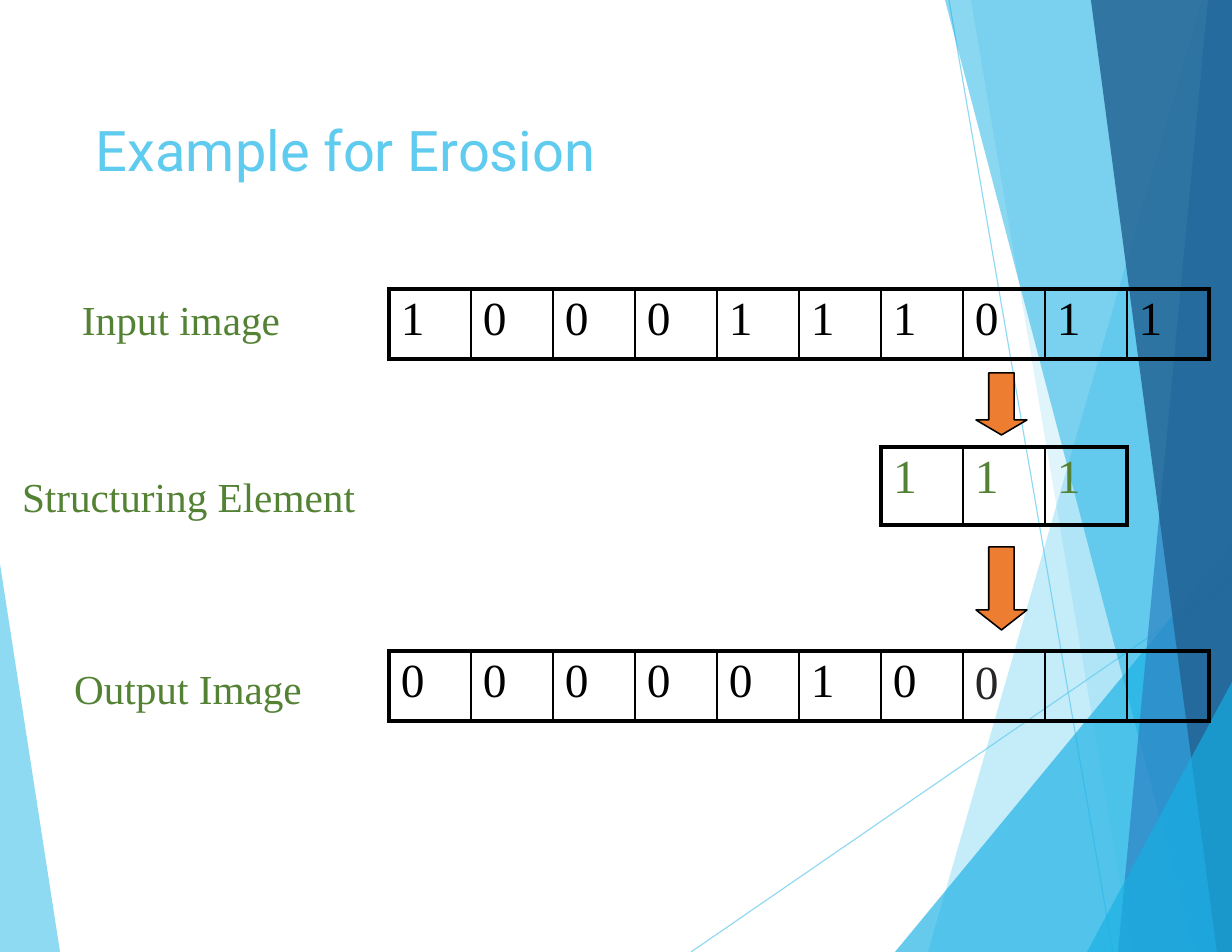
from lxml.etree import SubElement
from pptx import Presentation
from pptx.dml.color import RGBColor
from pptx.enum.shapes import MSO_CONNECTOR as Connector, MSO_SHAPE as Shape
from pptx.oxml.ns import qn
from pptx.util import Pt

WIDTH, HEIGHT = 1232, 952
COLORS = {
    "sky": "5FCBEF", "cyan": "17B0E4", "blue": "2E83C3", "navy": "226292",
    "green": "548235", "orange": "ED7D31", "black": "000000", "charcoal": "262626",
}


def px(length):
    return round(length * 914400 / 112)


def rgb(name):
    return RGBColor.from_string(COLORS[name])


class SlideBuilder:
    """Draws styled elements on one slide, with lengths in px."""

    serif, sans = "Times New Roman", "Roboto"

    def __init__(self, slide):
        self.slide = slide
        self.shapes = slide.shapes

    def fade(self, fill, opacity):
        color = fill._xPr.find(qn("a:solidFill"))[0]
        SubElement(color, qn("a:alpha"), val=str(opacity * 1000))

    def style(self, paragraph, font_name, size, color):
        font = paragraph.font
        font.name, font.size = font_name, Pt(size)
        font.color.rgb = rgb(color)

    def facet(self, points, color, opacity):
        start, *rest = points
        builder = self.shapes.build_freeform(*start, scale=px(1))
        builder.add_line_segments(rest, close=True)
        facet = builder.convert_to_shape()
        facet.shadow.inherit = False
        facet.fill.solid()
        facet.fill.fore_color.rgb = rgb(color)
        self.fade(facet.fill, opacity)
        facet.line.fill.background()

    def ray(self, x1, y1, x2, y2):
        ray = self.shapes.add_connector(Connector.STRAIGHT, px(x1), px(y1), px(x2), px(y2))
        ray.line.width = Pt(0.75)
        ray.line.color.rgb = rgb("sky")
        self.fade(ray.line.fill, 70)
        SubElement(ray._element.spPr, qn("a:effectLst"))

    def text(self, left, top, width, height, lines, font_name, size, color):
        frame = self.shapes.add_textbox(px(left), px(top), px(width), px(height)).text_frame
        frame.word_wrap = True
        frame.margin_left = frame.margin_top = frame.margin_right = frame.margin_bottom = 0
        for index, (line, indent, space_before) in enumerate(lines):
            paragraph = frame.add_paragraph() if index else frame.paragraphs[0]
            paragraph.text = line
            paragraph._p.get_or_add_pPr().set("marL", str(px(indent)))
            if space_before:
                paragraph.space_before = Pt(space_before)
            self.style(paragraph, font_name, size, color)

    def border(self, cell, side, points):
        edge = SubElement(cell._tc.get_or_add_tcPr(), qn(f"a:ln{side}"), w=str(Pt(points)))
        fill = SubElement(edge, qn("a:solidFill"))
        SubElement(fill, qn("a:srgbClr"), val=COLORS["black"])

    def pixels(self, left, top, height, values, color, last_color=None):
        pitch, count = 82, len(values)
        table = self.shapes.add_table(
            1, count, px(left), px(top), px(pitch * count), px(height)).table
        table.first_row = table.horz_banding = False
        table.rows[0].height = px(height)
        last_value = len(values.rstrip()) - 1
        for index, value in enumerate(values):
            table.columns[index].width = px(pitch)
            cell = table.cell(0, index)
            marked = last_color and index == last_value
            cell.margin_left, cell.margin_top = px(12), px(6 if marked else 4)
            cell.margin_right = cell.margin_bottom = 0
            self.border(cell, "L", 1.5 if index else 3)
            self.border(cell, "R", 1.5 if index < count - 1 else 3)
            self.border(cell, "T", 3)
            self.border(cell, "B", 3)
            cell.fill.background()
            paragraph = cell.text_frame.paragraphs[0]
            paragraph.text = value.strip()
            self.style(paragraph, self.serif, 30.5, last_color if marked else color)

    def arrow(self, left, top, width, height, head):
        arrow = self.shapes.add_shape(
            Shape.DOWN_ARROW, px(left), px(top), px(width), px(height))
        arrow.adjustments[0] = 0.5
        arrow.adjustments[1] = head / width
        arrow.shadow.inherit = False
        arrow.fill.solid()
        arrow.fill.fore_color.rgb = rgb("orange")
        arrow.line.color.rgb = rgb("black")
        arrow.line.width = Pt(1)


def main():
    deck = Presentation()
    deck.slide_width, deck.slide_height = px(WIDTH), px(HEIGHT)
    erosion = SlideBuilder(deck.slides.add_slide(deck.slide_layouts[6]))

    erosion.facet([(0, 564), (60, HEIGHT), (0, HEIGHT)], "sky", 70)
    erosion.ray(691, HEIGHT, WIDTH, 580)
    erosion.ray(949, 0, 1113, HEIGHT)
    right_facets = [
        (1202, 0, 928, "sky", 36),
        (971, 0, 1132, "sky", 20),
        (WIDTH, 544, 895, "cyan", 66),
        (945, 0, 1195, "cyan", 50),
        (1208, 0, 1118, "blue", 70),
        (1091, 0, 1217, "navy", 82),
        (WIDTH, 682, 1087, "cyan", 66),
    ]
    for top_x, top_y, bottom_x, color, opacity in right_facets:
        corners = [(top_x, top_y), (bottom_x, HEIGHT), (WIDTH, HEIGHT)]
        if top_x < WIDTH:
            corners.append((WIDTH, top_y))
        erosion.facet(corners, color, opacity)

    erosion.text(95, 116, 661, 70, [("Example for Erosion", 1, 0)], erosion.sans, 36, "sky")
    labels = [("Input image", 61, 0), ("Structuring Element", 1, 82)]
    erosion.text(21, 294, 340, 222, labels, erosion.serif, 26.5, "green")
    erosion.text(73, 663, 240, 52, [("Output Image", 1, 0)], erosion.serif, 26.5, "green")

    erosion.pixels(389, 289, 70, "1000111011", "black")
    erosion.pixels(881, 447, 78, "111", "green")
    erosion.arrow(976, 547, 51, 83, 20)
    erosion.arrow(976, 373, 51, 62, 15)
    erosion.pixels(389, 651, 70, "00000100  ", "black", "charcoal")

    deck.save("out.pptx")


if __name__ == "__main__":
    main()
